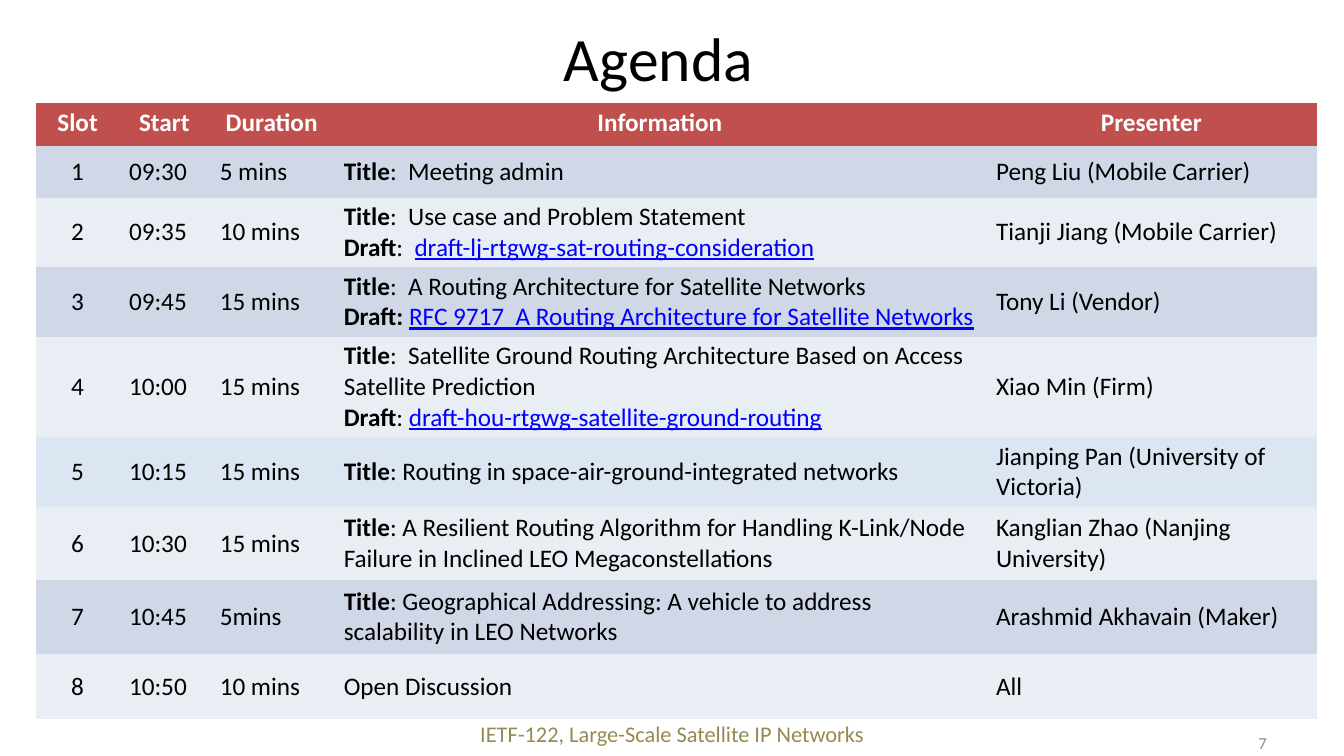
from pptx import Presentation, util as u
from pptx.dml.color import RGBColor
from pptx.enum import text as t

WIDTH, HEIGHT = 13.33, 7.5
FONT = "Calibri"
BLACK, WHITE, GREY = "000000", "FFFFFF", "8C8C8C"
RED, LINK, OLIVE = "C0504D", "0000FF", "948A54"
BAND_DARK, BAND_LIGHT, BAND_BLUE = "D0D8E8", "E9EDF4", "DCE6F2"
LEFT, CENTER, RIGHT = t.PP_ALIGN.LEFT, t.PP_ALIGN.CENTER, t.PP_ALIGN.RIGHT
NO_STYLE = "{2D5ABB26-0587-4C30-8999-92F81FD0307C}"

COLUMNS = [0.82, 0.9, 1.23, 6.47, 3.28]
ROWS = [0.43, 0.51, 0.68, 0.68, 0.98, 0.68, 0.73, 0.73, 0.65]
HEADERS = ["Slot", "Start", "Duration", "Information", "Presenter"]

# Each session: start, duration, lines of (bold label, plain text, link), presenter
SESSIONS = [
    ("09:30", "5 mins", [("Title", ":  Meeting admin", "")], "Peng Liu (Mobile Carrier)"),
    ("09:35", "10 mins",
     [("Title", ":  Use case and Problem Statement", ""),
      ("Draft", ":  ", "draft-lj-rtgwg-sat-routing-consideration")],
     "Tianji Jiang (Mobile Carrier)"),
    ("09:45", "15 mins",
     [("Title", ":  A Routing Architecture for Satellite Networks", ""),
      ("Draft: ", "", "RFC 9717  A Routing Architecture for Satellite Networks")],
     "Tony Li (Vendor)"),
    ("10:00", "15 mins",
     [("Title", ":  Satellite Ground Routing Architecture Based on Access "
       "Satellite Prediction", ""),
      ("Draft", ": ", "draft-hou-rtgwg-satellite-ground-routing")],
     "Xiao Min (Firm)"),
    ("10:15", "15 mins",
     [("Title", ": Routing in space-air-ground-integrated networks", "")],
     "Jianping Pan (University of Victoria)"),
    ("10:30", "15 mins",
     [("Title", ": A Resilient Routing Algorithm for Handling K-Link/Node "
       "Failure in Inclined LEO Megaconstellations", "")],
     "Kanglian Zhao (Nanjing University)"),
    ("10:45", "5mins",
     [("Title", ": Geographical Addressing: A vehicle to address "
       "scalability in LEO Networks", "")],
     "Arashmid Akhavain (Maker)"),
    ("10:50", "10 mins", [("", "Open Discussion", "")], "All"),
]


def color(hex_value):
    return RGBColor.from_string(hex_value)


def place(shape, left, top, width, height):
    """Position a shape by shares of the slide's size."""
    shape.left, shape.width = u.Inches(left * WIDTH), u.Inches(width * WIDTH)
    shape.top, shape.height = u.Inches(top * HEIGHT), u.Inches(height * HEIGHT)


def format_paragraph(paragraph, size, hex_value, align=LEFT, bold=False):
    paragraph.alignment = align
    font = paragraph.font
    font.name, font.size, font.bold = FONT, u.Pt(size), bold
    font.color.rgb = color(hex_value)


def fill_frame(frame, content, size, hex_value, align, anchor):
    frame.word_wrap = True
    frame.auto_size = t.MSO_AUTO_SIZE.NONE
    frame.vertical_anchor = anchor
    frame.text = content
    format_paragraph(frame.paragraphs[0], size, hex_value, align)


def add_label(slide, area, content, size, hex_value, align, anchor):
    box = slide.shapes.add_textbox(0, 0, 0, 0)
    place(box, *area)
    fill_frame(box.text_frame, content, size, hex_value, align, anchor)


def fill_cell(cell, lines, fill, hex_value=BLACK, align=LEFT, bold=False):
    cell.fill.solid()
    cell.fill.fore_color.rgb = color(fill)
    for index, (label, plain, link) in enumerate(lines):
        frame = cell.text_frame
        paragraph = frame.add_paragraph() if index else frame.paragraphs[0]
        format_paragraph(paragraph, 18, hex_value, align, bold)
        if label:
            run = paragraph.add_run()
            run.text, run.font.bold = label, True
        if plain:
            paragraph.add_run().text = plain
        if link:
            run = paragraph.add_run()
            run.text, run.font.underline = link, True
            run.font.color.rgb = color(LINK)


def add_agenda(slide):
    frame = slide.shapes.add_table(
        len(ROWS), len(COLUMNS), u.Inches(0.36), u.Inches(1.02),
        u.Inches(sum(COLUMNS)), u.Inches(sum(ROWS)))
    table = frame.table
    table._tbl.tblPr[0].text = NO_STYLE
    for column, width in zip(table.columns, COLUMNS):
        column.width = u.Inches(width)
    for row, height in zip(table.rows, ROWS):
        row.height = u.Inches(height)

    # Header row
    for cell, header in zip(table.rows[0].cells, HEADERS):
        fill_cell(cell, [("", header, "")], RED, WHITE, CENTER, True)

    # Session rows in alternating bands, with slot 5 in its own blue
    for slot, (start, duration, lines, presenter) in enumerate(SESSIONS, 1):
        band = BAND_BLUE if slot == 5 else BAND_DARK if slot % 2 else BAND_LIGHT
        slot_line, start_line, duration_line, presenter_line = (
            [("", value, "")] for value in (str(slot), start, duration, presenter))
        contents = [slot_line, start_line, duration_line, lines, presenter_line]
        for index, content in enumerate(contents):
            cell = table.cell(slot, index)
            cell.vertical_anchor = t.MSO_ANCHOR.MIDDLE
            cell.margin_top = cell.margin_bottom = u.Inches(0.04)
            fill_cell(cell, content, band, align=LEFT if index else CENTER)


def main():
    presentation = Presentation()
    presentation.slide_width = u.Inches(WIDTH)
    presentation.slide_height = u.Inches(HEIGHT)
    slide = presentation.slides.add_slide(presentation.slide_layouts[5])

    # Title
    title = slide.shapes.title
    place(title, 0.05, 0.04, 0.88, 0.07)
    fill_frame(title.text_frame, "Agenda", 44, BLACK, CENTER, t.MSO_ANCHOR.MIDDLE)

    # Agenda table
    add_agenda(slide)

    # Footer and page number
    add_label(slide, (0.13, 0.946, 0.74, 0.05),
              "IETF-122, Large-Scale Satellite IP Networks",
              16, OLIVE, CENTER, t.MSO_ANCHOR.TOP)
    add_label(slide, (0.72, 0.957, 0.23, 0.05), "7",
              12, GREY, RIGHT, t.MSO_ANCHOR.MIDDLE)

    presentation.save("out.pptx")


if __name__ == "__main__":
    main()
